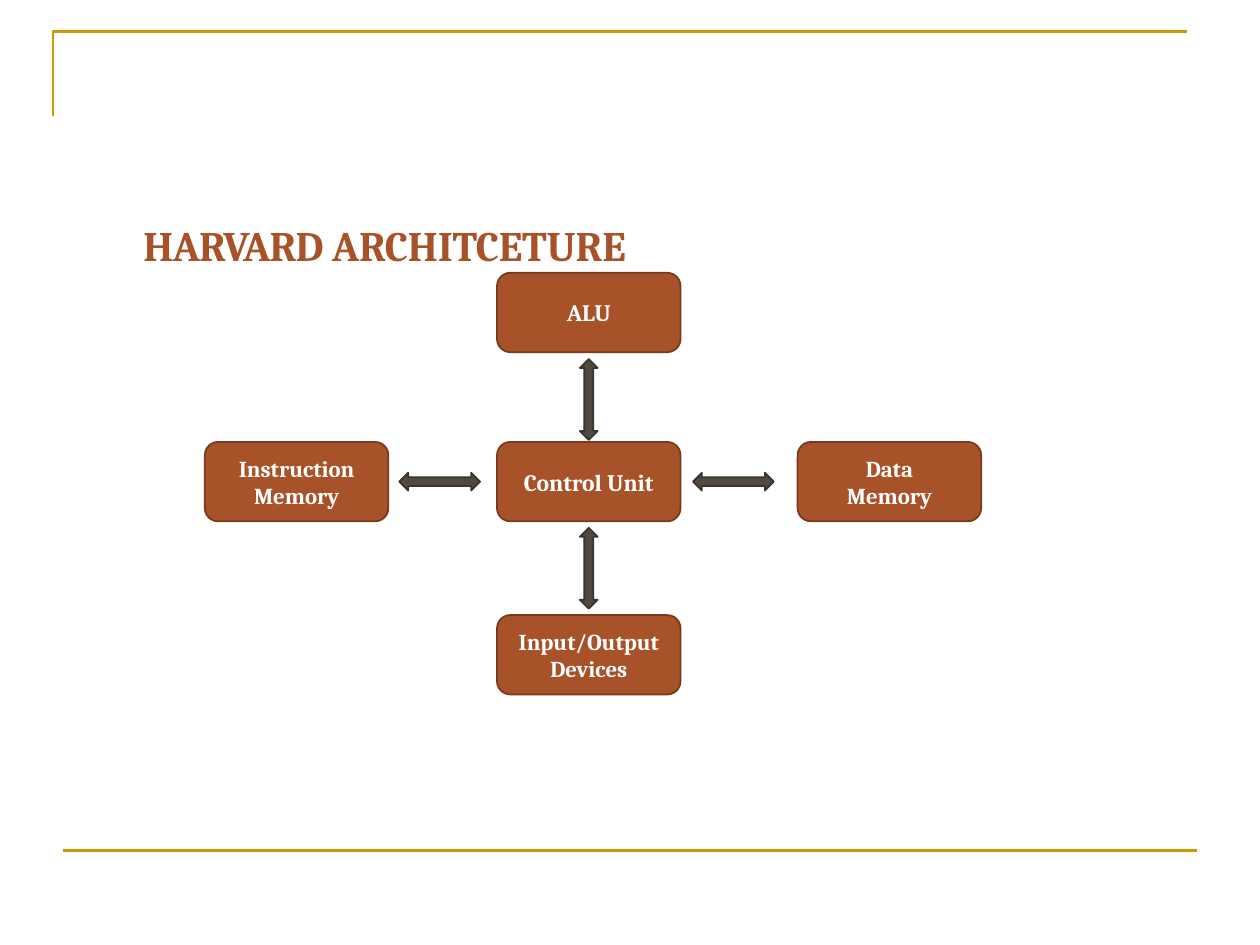
from pptx import Presentation
from pptx import util as u
from pptx.dml import color
from pptx.enum import shapes, text

FONT = "Cambria"
COLORS = {
    "gold": "CC9900",
    "rust": "A85229",
    "rust_edge": "79391B",
    "arrow": "514940",
    "arrow_edge": "39342C",
    "white": "FFFFFF",
}


def rgb(name):
    """Return a palette colour."""
    return color.RGBColor.from_string(COLORS[name])


def add_span(para, words, size, hue, spacing=0):
    """Add one bold run with its letter spacing in points."""
    span = para.add_run()
    span.text = words
    span.font.name = FONT
    span.font.size = u.Pt(size)
    span.font.bold = True
    span.font.color.rgb = rgb(hue)
    if spacing:
        span._r.get_or_add_rPr().set("spc", str(round(spacing * 100)))


def clear_margins(frame):
    """Remove the inner margins of a text frame."""
    frame.margin_left = frame.margin_right = 0
    frame.margin_top = frame.margin_bottom = 0
    frame.word_wrap = True


def add_solid(page, preset, left, top, width, height, fill, edge):
    """Add a filled and outlined preset shape."""
    solid = page.shapes.add_shape(preset, u.Cm(left), u.Cm(top), u.Cm(width), u.Cm(height))
    solid.shadow.inherit = False
    solid.fill.solid()
    solid.fill.fore_color.rgb = rgb(fill)
    solid.line.color.rgb = rgb(edge)
    solid.line.width = u.Pt(1)
    return solid


def add_frame_lines(page, left, top, width, height):
    """Draw the corner line above and the rule below the content."""
    offset, drop = 0.2, 1.7
    builder = page.shapes.build_freeform(u.Cm(left), u.Cm(top + drop))
    builder.add_line_segments(
        [(u.Cm(left), u.Cm(top)), (u.Cm(left + width), u.Cm(top))], close=False
    )
    corner = builder.convert_to_shape()
    corner.fill.background()
    corner.shadow.inherit = False
    bottom = u.Cm(top + height)
    rule = page.shapes.add_connector(
        shapes.MSO_CONNECTOR.STRAIGHT,
        u.Cm(left + offset), bottom, u.Cm(left + offset + width), bottom,
    )
    rule_properties = rule._element.spPr
    rule_properties.append(rule_properties.makeelement(
        "{http://schemas.openxmlformats.org/drawingml/2006/main}effectLst", {}
    ))
    for stroke in (corner, rule):
        stroke.line.color.rgb = rgb("gold")
        stroke.line.width = u.Pt(1.5)


def add_title(page, left, top, width, height):
    """Write the heading."""
    box = page.shapes.add_textbox(u.Cm(left), u.Cm(top), u.Cm(width), u.Cm(height))
    clear_margins(box.text_frame)
    para = box.text_frame.paragraphs[0]
    add_span(para, "HARVARD ", 24, "rust", -0.5)
    add_span(para, "ARCHITCETURE", 24, "rust", -0.1)


def add_unit(page, left, top, width, height, lines, size):
    """Add one labelled unit with a line of text per entry."""
    unit = add_solid(page, shapes.MSO_SHAPE.ROUNDED_RECTANGLE,
                     left, top, width, height, "rust", "rust_edge")
    frame = unit.text_frame
    clear_margins(frame)
    frame.vertical_anchor = text.MSO_ANCHOR.MIDDLE
    para = frame.paragraphs[0]
    para.alignment = text.PP_ALIGN.CENTER
    for index, line in enumerate(lines):
        if index:
            para.add_line_break()
        add_span(para, line, size, "white")


def add_diagram(page, left, top, width, height):
    """Place the control unit with its four neighbours and the arrows between."""
    unit_width, unit_height = 3.7, 1.6
    length, thickness = 1.63, 0.36
    columns = (0, 5.89, width - unit_width)
    rows = (0, 3.41, height - unit_height)
    units = (
        (1, 1, ("Control Unit",), 13.5),
        (0, 1, ("Instruction", "Memory"), 13),
        (2, 1, ("Data", "Memory"), 13),
        (1, 2, ("Input/Output", "Devices"), 13),
        (1, 0, ("ALU",), 13.5),
    )
    for column, row, lines, size in units:
        add_unit(page, left + columns[column], top + rows[row],
                 unit_width, unit_height, lines, size)
    arrow_top = top + rows[1] + (unit_height - thickness) / 2
    arrow_left = left + columns[1] + (unit_width - thickness) / 2
    for x in (3.92, 9.84):
        add_solid(page, shapes.MSO_SHAPE.LEFT_RIGHT_ARROW, left + x, arrow_top,
                  length, thickness, "arrow", "arrow_edge")
    for y in (1.74, 5.14):
        add_solid(page, shapes.MSO_SHAPE.UP_DOWN_ARROW, arrow_left, top + y,
                  thickness, length, "arrow", "arrow_edge")


def main():
    """Build the slide and save the deck."""
    deck = Presentation()
    deck.slide_width, deck.slide_height = u.Cm(25.4), u.Cm(19.05)
    page = deck.slides.add_slide(deck.slide_layouts[6])
    add_frame_lines(page, 1.07, 0.64, 22.86, 16.51)
    add_title(page, 2.89, 4.42, 10.21, 1.04)
    add_diagram(page, 4.13, 5.5, 15.65, 8.5)
    deck.save("out.pptx")


if __name__ == "__main__":
    main()
